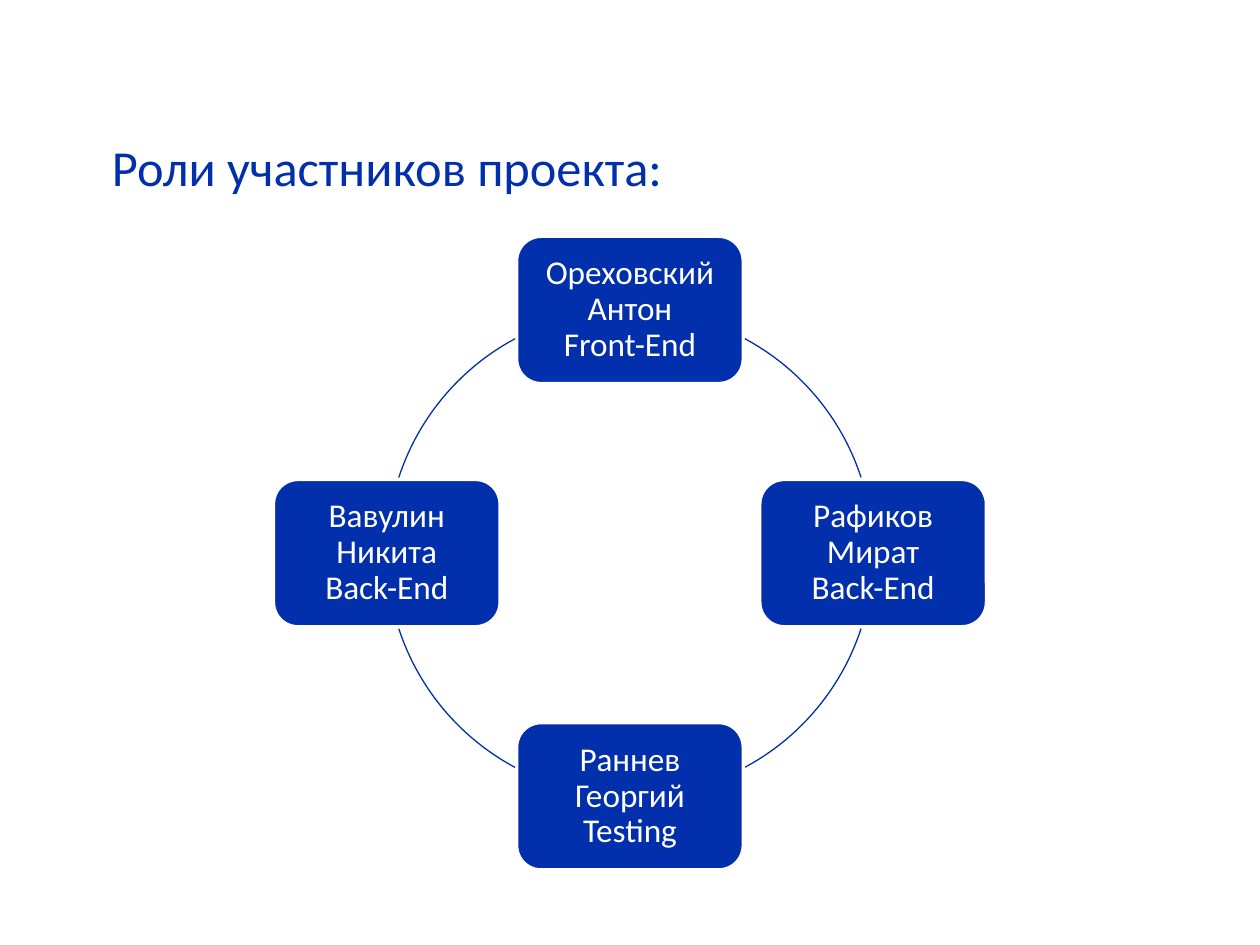
from dataclasses import dataclass

from pptx import Presentation
from pptx.dml.color import RGBColor
from pptx.enum.shapes import MSO_SHAPE
from pptx.enum.text import MSO_ANCHOR, PP_ALIGN
from pptx.util import Inches, Pt

ROUNDED, ARC = MSO_SHAPE.ROUNDED_RECTANGLE, MSO_SHAPE.ARC
MIDDLE, BOTTOM = MSO_ANCHOR.MIDDLE, MSO_ANCHOR.BOTTOM
CENTER = PP_ALIGN.CENTER


@dataclass(frozen=True)
class Theme:
    blue: RGBColor = RGBColor(0x02, 0x30, 0xAC)
    white: RGBColor = RGBColor(0xFF, 0xFF, 0xFF)
    font: str = "Calibri"
    title_size: float = 28.8
    card_size: float = 19


@dataclass(frozen=True)
class Member:
    name: str
    role: str
    dx: int  # direction from the ring centre
    dy: int


@dataclass(frozen=True)
class ArcSpan:
    start: float  # degrees, clockwise from the right
    end: float


THEME = Theme()
CX, CY, RADIUS = 5, 4.39, 1.93
CARD_W, CARD_H, CARD_INSET = 1.8, 1.17, 0.14

MEMBERS = [
    Member("Ореховский Антон", "Front-End", 0, -1),
    Member("Рафиков Мират", "Back-End", 1, 0),
    Member("Раннев Георгий", "Testing", 0, 1),
    Member("Вавулин Никита", "Back-End", -1, 0),
]

# Arcs mirror each other left-right and top-bottom
NEAR, FAR = 18.1, 61.8
ARCS = [
    ArcSpan(360 - FAR, 360 - NEAR),
    ArcSpan(NEAR, FAR),
    ArcSpan(180 - FAR, 180 - NEAR),
    ArcSpan(180 + NEAR, 180 + FAR),
]


def style_text(p, size: float, color: RGBColor) -> None:
    for r in p.runs:
        r.font.name = THEME.font
        r.font.size = Pt(size)
        r.font.color.rgb = color


def add_title(s, text: str) -> None:
    tf = s.shapes.add_textbox(Inches(0.79), Inches(1), Inches(6.52), Inches(0.61)).text_frame
    tf.word_wrap = True
    tf.vertical_anchor = BOTTOM
    tf.text = text
    style_text(tf.paragraphs[0], THEME.title_size, THEME.blue)


def add_arc(s, span: ArcSpan) -> None:
    sp = s.shapes.add_shape(ARC, Inches(CX - RADIUS), Inches(CY - RADIUS),
                            Inches(2 * RADIUS), Inches(2 * RADIUS))
    # Adjustments are 1/60000 degree, scaled by 1/100000
    sp.adjustments[0] = span.start * 0.6
    sp.adjustments[1] = span.end * 0.6
    sp.shadow.inherit = False
    sp.fill.background()
    sp.line.color.rgb = THEME.blue
    sp.line.width = Pt(0.75)


def add_card(s, member: Member) -> None:
    left = CX + member.dx * RADIUS - CARD_W / 2
    top = CY + member.dy * RADIUS - CARD_H / 2
    sp = s.shapes.add_shape(ROUNDED, Inches(left), Inches(top), Inches(CARD_W), Inches(CARD_H))
    sp.shadow.inherit = False
    sp.fill.solid()
    sp.fill.fore_color.rgb = THEME.blue
    sp.line.color.rgb = THEME.white
    sp.line.width = Pt(2)

    tf = sp.text_frame
    tf.word_wrap = True
    tf.vertical_anchor = MIDDLE
    tf.margin_left = tf.margin_right = Inches(CARD_INSET)
    tf.margin_top = tf.margin_bottom = Inches(CARD_INSET)
    p = tf.paragraphs[0]
    p.text = f"{member.name}\n{member.role}"
    p.alignment = CENTER
    p.line_spacing = 0.9
    style_text(p, THEME.card_size, THEME.white)


def main() -> None:
    prs = Presentation()
    prs.slide_width, prs.slide_height = Inches(10), Inches(7.5)
    s = prs.slides.add_slide(prs.slide_layouts[6])

    # Title
    add_title(s, "Роли участников проекта:")

    # Ring of team members
    for member, span in zip(MEMBERS, ARCS):
        add_card(s, member)
        add_arc(s, span)

    prs.save("out.pptx")


if __name__ == "__main__":
    main()
